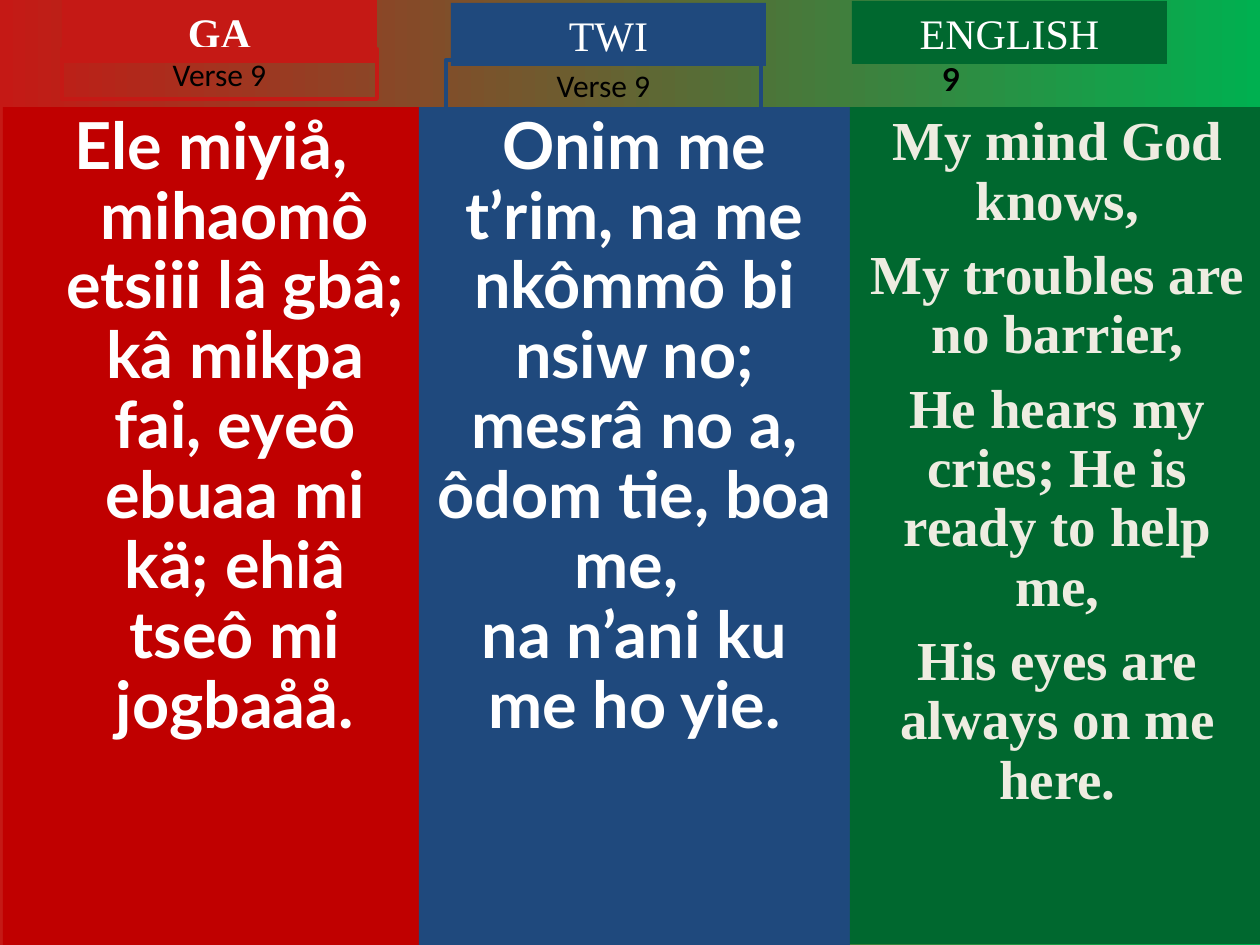
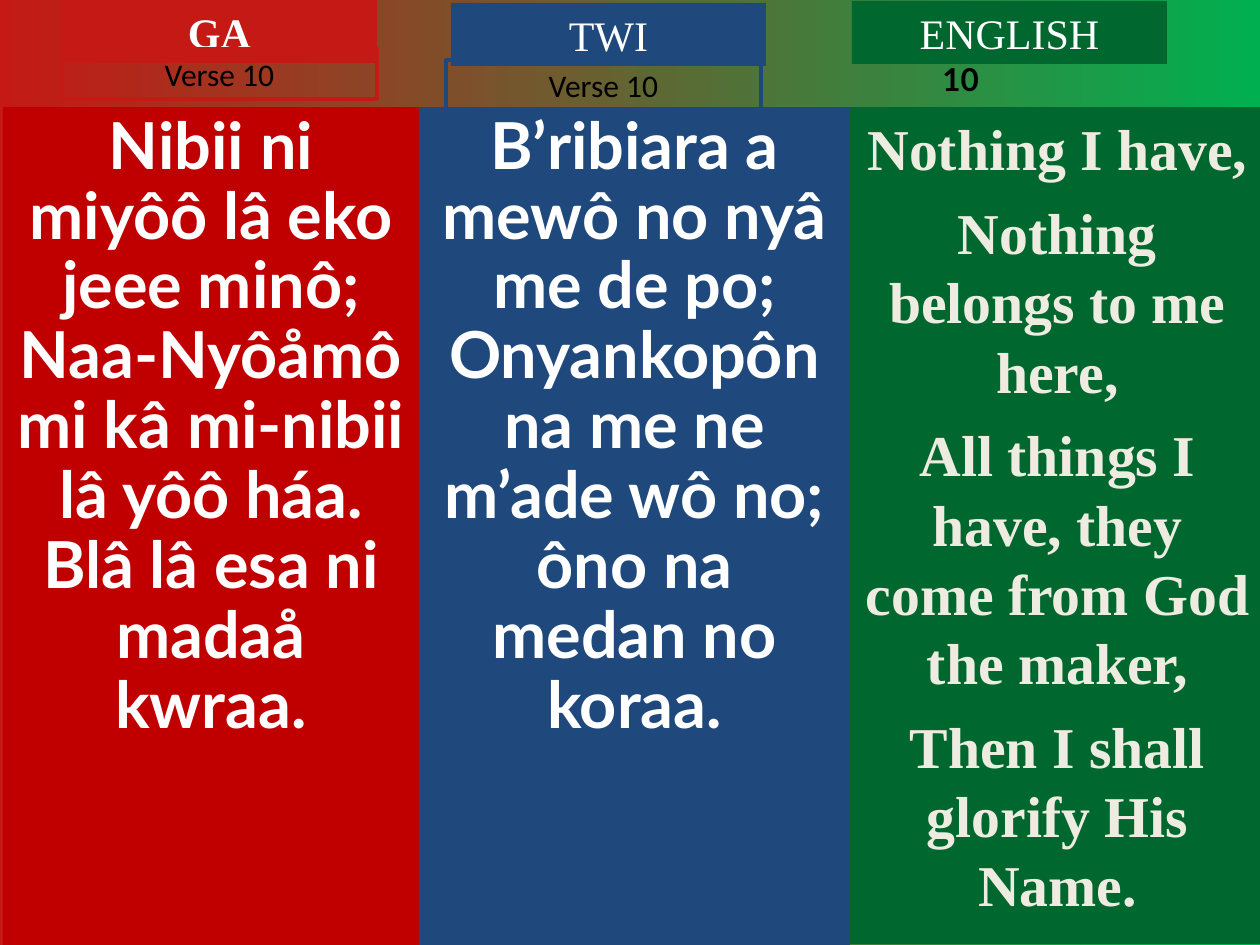
"""Build a hymn deck that shows each verse in Ga, Twi and English columns."""
from dataclasses import dataclass

from pptx import Presentation
from pptx.dml.color import RGBColor
from pptx.enum.shapes import MSO_SHAPE
from pptx.enum.text import MSO_ANCHOR, MSO_AUTO_SIZE, PP_ALIGN
from pptx.util import Emu, Pt

EMU_PER_PX = 914400 / 126
PAGE_SIZE = (1260, 945)


@dataclass(frozen=True)
class Theme:
    start: str = "C51915"
    end: str = "00B050"
    ga: str = "C00000"
    twi: str = "1F497D"
    english: str = "00682F"
    white: str = "FFFFFF"
    cream: str = "EEECE1"
    black: str = "000000"
    serif: str = "Times New Roman"
    sans: str = "Lato"
    plain: str = "Calibri"
    heading_size: float = 24
    label_size: float = 18
    verse_size: float = 37
    frame_width: float = 2.25


def px(length):
    return Emu(round(length * EMU_PER_PX))


def write(box, lines, *, font, size, color, bold=False, align=PP_ALIGN.CENTER,
          anchor=MSO_ANCHOR.TOP, spacing=None, gap=0, hanging=0, grow=False):
    frame = box.text_frame
    frame.word_wrap = True
    frame.vertical_anchor = anchor
    frame.auto_size = MSO_AUTO_SIZE.SHAPE_TO_FIT_TEXT if grow else MSO_AUTO_SIZE.NONE
    for index, line in enumerate(lines):
        para = frame.paragraphs[0] if index == 0 else frame.add_paragraph()
        para.alignment = align
        if spacing:
            para.line_spacing = spacing
        if index and gap:
            para.space_before = Pt(gap)
        if hanging:
            properties = para._p.get_or_add_pPr()
            properties.set("marL", str(px(hanging)))
            properties.set("indent", str(-px(hanging)))
        span = para.add_run()
        span.text = line
        span.font.name = font
        span.font.size = Pt(size)
        span.font.bold = bold
        span.font.color.rgb = RGBColor.from_string(color)


class VerseDeck:
    def __init__(self, theme):
        self.theme = theme
        self.deck = Presentation()
        self.deck.slide_width, self.deck.slide_height = map(px, PAGE_SIZE)
        self.page = None

    def add_page(self):
        self.page = self.deck.slides.add_slide(self.deck.slide_layouts[6])
        fill = self.page.background.fill
        fill.gradient()
        fill.gradient_angle = 0
        for stop, color in zip(fill.gradient_stops, (self.theme.start, self.theme.end)):
            stop.color.rgb = RGBColor.from_string(color)

    def panel(self, place, fill=None, line=None):
        box = self.page.shapes.add_shape(MSO_SHAPE.RECTANGLE, *map(px, place))
        box.shadow.inherit = False
        if fill:
            box.fill.solid()
            box.fill.fore_color.rgb = RGBColor.from_string(fill)
        else:
            box.fill.background()
        if line:
            box.line.color.rgb = RGBColor.from_string(line)
            box.line.width = Pt(self.theme.frame_width)
        else:
            box.line.fill.background()
        return box

    def heading(self, left, top, language, fill, bold=False):
        write(self.panel((left, top, 315, 63), fill=fill), [language],
              font=self.theme.serif, size=self.theme.heading_size,
              color=self.theme.white, bold=bold, grow=True)

    def verse_label(self, left, top, number, line):
        write(self.panel((left, top, 315, 50), line=line), [f"Verse {number}"],
              font=self.theme.plain, size=self.theme.label_size,
              color=self.theme.black, grow=True)

    def verse_number(self, left, top, number):
        box = self.page.shapes.add_textbox(*map(px, (left, top, 189, 50)))
        write(box, [str(number)], font=self.theme.sans, size=self.theme.label_size,
              color=self.theme.black, bold=True, align=PP_ALIGN.LEFT, grow=True)

    def local_verse(self, left, width, lines, fill, hanging=0):
        write(self.panel((left, 107, width, 838), fill=fill), lines,
              font=self.theme.sans, size=self.theme.verse_size,
              color=self.theme.white, bold=True, spacing=0.9, hanging=hanging)

    def english_verse(self, lines, **style):
        write(self.panel((850, 107, 415, 837), fill=self.theme.english), lines,
              font=self.theme.serif, color=self.theme.cream, bold=True, **style)

    def verse_page(self, number, ga, twi, english, english_style, ga_hanging=0):
        theme = self.theme
        self.add_page()
        self.local_verse(3, 416, ga, theme.ga, ga_hanging)
        self.local_verse(419, 431, twi, theme.twi)
        self.heading(62, 0, "GA", theme.start, bold=True)
        self.heading(451, 3, "TWI", theme.twi)
        self.verse_label(62, 49, number, theme.start)
        self.verse_label(446, 60, number, theme.twi)
        self.english_verse(english, **english_style)
        self.heading(852, 1, "ENGLISH", theme.english)
        self.verse_number(930, 54, number)


VERSES = [
    dict(
        number=9,
        ga=["Ele miyiå, mihaomô etsiii lâ gbâ; kâ mikpa fai, eyeô ebuaa mi kä; "
            "ehiâ tseô mi jogbaåå."],
        twi=["Onim me t’rim, na me nkômmô bi nsiw no; mesrâ no a, ôdom tie, boa me, ",
             "na n’ani ku me ho yie."],
        english=["My mind God knows,",
                 "My troubles are no barrier,",
                 "He hears my cries; He is ready to help me,",
                 "His eyes are always on me here."],
        english_style=dict(size=31.4, gap=8.5, spacing=0.9),
        ga_hanging=48,
    ),
    dict(
        number=10,
        ga=["Nibii ni miyôô lâ eko jeee minô; Naa-Nyôåmô mi kâ mi-nibii lâ yôô háa.",
            "Blâ lâ esa ni madaå kwraa."],
        twi=["B’ribiara a mewô no nyâ me de po; Onyankopôn na me ne m’ade wô no; "
             "ôno na medan no koraa."],
        english=["Nothing I have,",
                 "Nothing belongs to me here,",
                 "All things I have, they come from God the maker,",
                 "Then I shall glorify His Name."],
        english_style=dict(size=33, gap=8.2),
    ),
]


def main():
    hymn = VerseDeck(Theme())
    for verse in VERSES:
        hymn.verse_page(**verse)
    hymn.deck.save("out.pptx")


if __name__ == "__main__":
    main()
